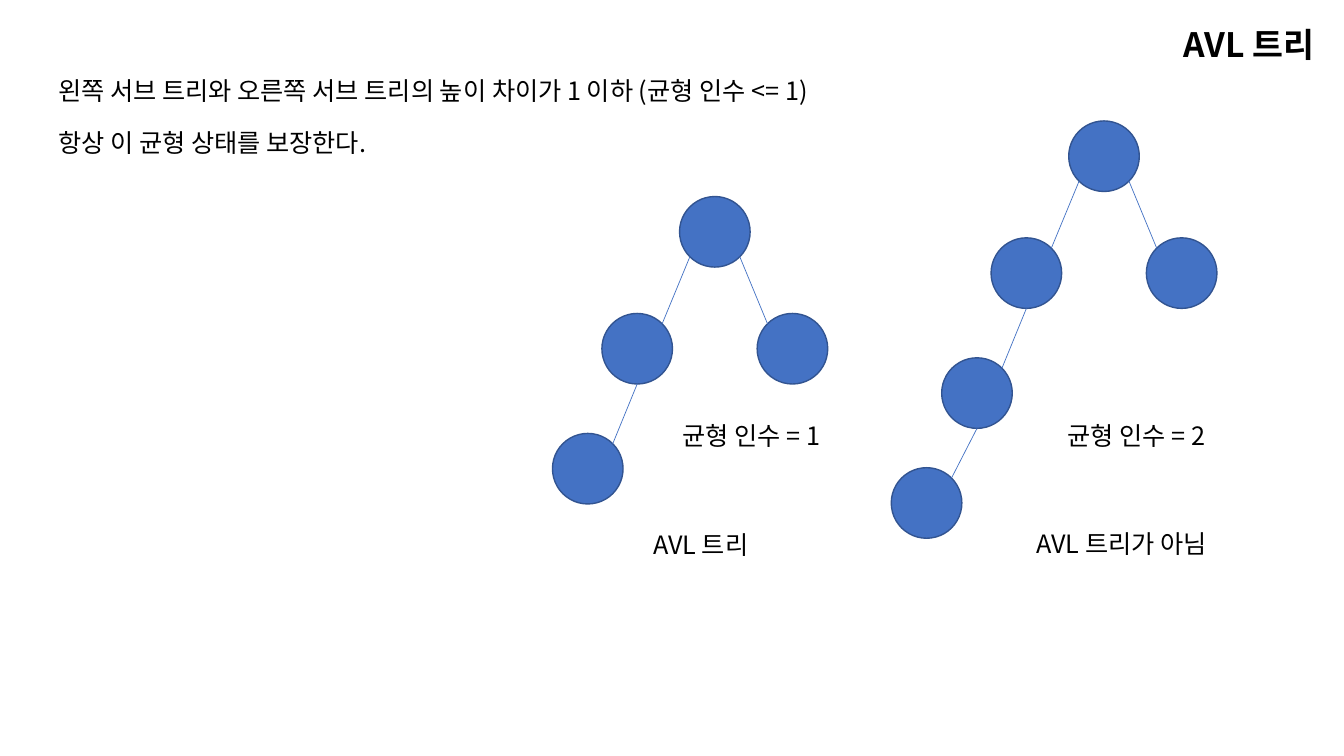
from dataclasses import dataclass
from math import sqrt

from lxml.etree import SubElement
from pptx import Presentation
from pptx.dml.color import RGBColor
from pptx.enum.shapes import MSO_CONNECTOR, MSO_SHAPE
from pptx.enum.text import MSO_AUTO_SIZE, PP_ALIGN
from pptx.oxml.ns import qn
from pptx.util import Inches, Pt


@dataclass(frozen=True)
class Theme:
    font: str = "Noto Sans CJK KR"
    text: RGBColor = RGBColor(0x00, 0x00, 0x00)
    node: RGBColor = RGBColor(0x44, 0x72, 0xC4)
    outline: RGBColor = RGBColor(0x32, 0x54, 0x91)
    title_size: int = 24
    body_size: int = 18
    outline_width: float = 1
    edge_width: float = 0.5


THEME = Theme()
NODE = 0.7
RADIUS = NODE / 2
DIAGONAL = RADIUS / sqrt(2)

# Node offsets from the root, in inches, and (parent, child) pairs
ROOT, LEFT, RIGHT, GRANDCHILD = (0, 0), (-0.77, 1.16), (0.77, 1.16), (-1.26, 2.35)
GREAT_GRANDCHILD = (-1.76, 3.44)
BALANCED = [(ROOT, LEFT), (ROOT, RIGHT), (LEFT, GRANDCHILD)]
UNBALANCED = BALANCED + [(GRANDCHILD, GREAT_GRANDCHILD)]


def add_text(s, text, x, y, w, h=0.4, size=THEME.body_size, bold=False,
             align=PP_ALIGN.LEFT, wrap=False):
    tf = s.shapes.add_textbox(Inches(x), Inches(y), Inches(w), Inches(h)).text_frame
    tf.word_wrap = wrap
    tf.auto_size = MSO_AUTO_SIZE.SHAPE_TO_FIT_TEXT
    p = tf.paragraphs[0]
    p.alignment = align
    r = p.add_run()
    r.text = text
    r.font.size = Pt(size)
    r.font.bold = bold
    r.font.color.rgb = THEME.text
    r.font.name = THEME.font
    SubElement(r.font._element, qn("a:ea")).set("typeface", THEME.font)


def add_node(s, x, y):
    sp = s.shapes.add_shape(MSO_SHAPE.OVAL, Inches(x), Inches(y), Inches(NODE), Inches(NODE))
    sp.shadow.inherit = False
    sp.fill.solid()
    sp.fill.fore_color.rgb = THEME.node
    sp.line.color.rgb = THEME.outline
    sp.line.width = Pt(THEME.outline_width)


def add_edge(s, x, y, parent, child):
    """Join two nodes; below the root, an edge leaves from the parent's lowest point."""
    side = 1 if child[0] > parent[0] else -1
    dx, dy = (side * DIAGONAL, DIAGONAL) if parent == ROOT else (0, RADIUS)
    start = (x + parent[0] + RADIUS + dx, y + parent[1] + RADIUS + dy)
    end = (x + child[0] + RADIUS - side * DIAGONAL, y + child[1] + RADIUS - DIAGONAL)
    line = s.shapes.add_connector(MSO_CONNECTOR.STRAIGHT, *map(Inches, start + end))
    line.line.color.rgb = THEME.node
    line.line.width = Pt(THEME.edge_width)
    SubElement(line._element.spPr, qn("a:effectLst"))


def add_tree(s, x, y, edges):
    """Draw a tree whose root has its top left corner at x, y."""
    for dx, dy in [ROOT] + [child for _, child in edges]:
        add_node(s, x + dx, y + dy)
    for parent, child in edges:
        add_edge(s, x, y, parent, child)


def add_heading(s):
    add_text(s, "AVL 트리", 9.38, 0.19, 3.75, 0.5, size=THEME.title_size, bold=True,
             align=PP_ALIGN.RIGHT, wrap=True)


def add_definition(s, x, y):
    add_text(s, "왼쪽 서브 트리와 오른쪽 서브 트리의 높이 차이가 1 이하 (균형 인수 <= 1)", x, y, 8.64)
    add_text(s, "항상 이 균형 상태를 보장한다.", x, y + 0.51, 3.64)


def main():
    prs = Presentation()
    prs.slide_width, prs.slide_height = Inches(13.33), Inches(7.5)
    s = prs.slides.add_slide(prs.slide_layouts[6])
    add_heading(s)
    add_definition(s, 0.48, 0.7)

    add_tree(s, 6.74, 1.95, BALANCED)
    add_text(s, "균형 인수 = 1", 6.67, 4.12, 1.8)
    add_text(s, "AVL 트리", 6.38, 5.2, 1.32)

    add_tree(s, 10.6, 1.2, UNBALANCED)
    add_text(s, "균형 인수 = 2", 10.49, 4.12, 1.8)
    add_text(s, "AVL 트리가 아님", 10.18, 5.19, 2.16)
    prs.save("out.pptx")


if __name__ == "__main__":
    main()
